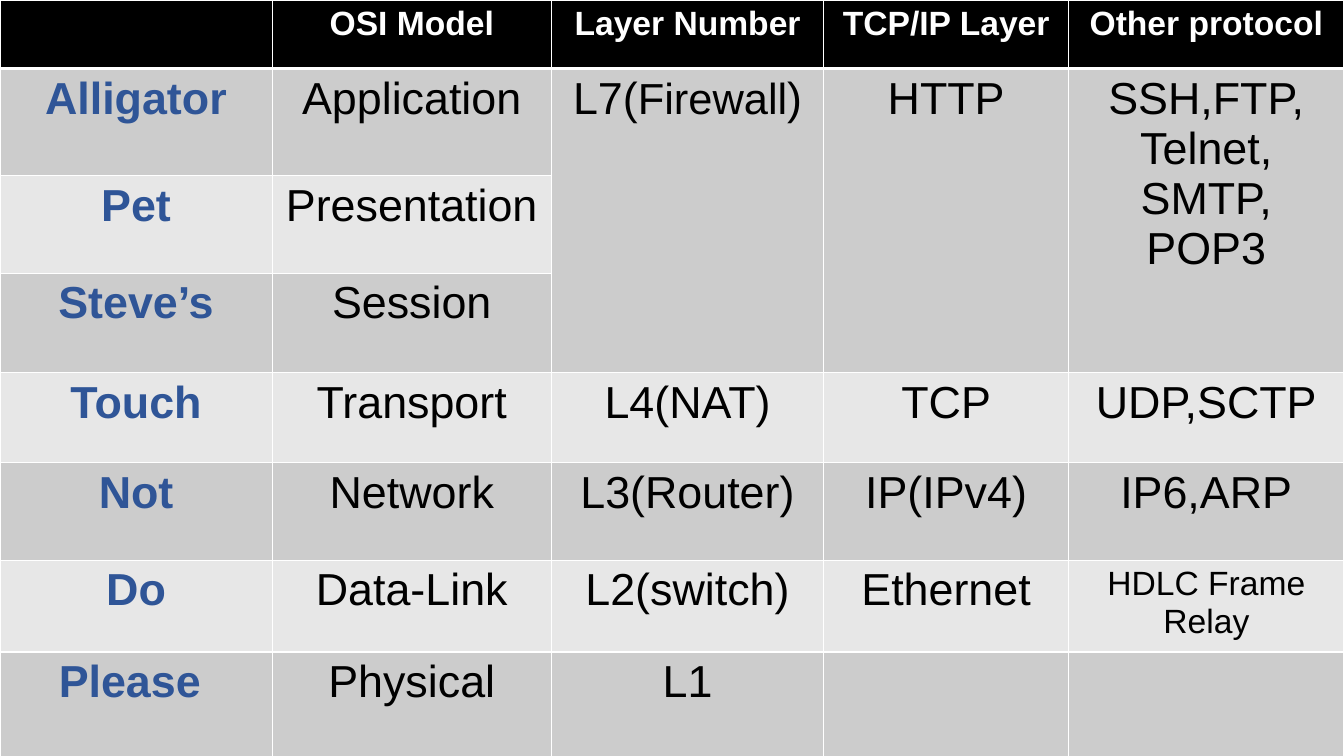
"""Build a slide with a table of the OSI layers, a mnemonic and their protocols."""
from dataclasses import dataclass
from typing import Any

from lxml.etree import SubElement as Sub
from pptx import Presentation
from pptx.dml.color import RGBColor as Rgb
from pptx.enum.text import PP_ALIGN as Align
from pptx.oxml.ns import qn
from pptx.util import Inches, Pt

WHITE, BLACK, BLUE = "FFFFFF", "000000", "2F5597"
BANDS = ("E7E7E7", "CCCCCC")
WIDTHS = (2.7, 2.77, 2.7, 2.43, 2.73)
HEIGHTS = (0.68, 1.06, 0.97, 0.99, 0.89, 0.97, 0.91, 1.12)
HEAD: dict[str, Any] = {"name": "Arial", "size": Pt(24), "bold": True}
WORD: dict[str, Any] = HEAD | {"size": Pt(32)}
BODY: dict[str, Any] = WORD | {"bold": False}


@dataclass(frozen=True)
class Part:
    """A piece of text with its size in points, or the size of its cell."""
    text: str
    size: float | None = None


@dataclass(frozen=True)
class Entry:
    """The lines of one cell and the number of rows it covers."""
    lines: tuple[tuple[Part, ...], ...]
    rows: int = 1


def entry(*lines: str, size: float | None = None, rows: int = 1) -> Entry:
    """Make an entry with one part on each line."""
    return Entry(tuple((Part(line, size),) for line in lines), rows)


FIRE = Entry(((Part("L7("), Part("Firewall", 31), Part(")")),), 3)
GRID: tuple[tuple[Entry, ...], ...] = (
    (entry(), entry("OSI Model"), entry("Layer Number"),
     entry("TCP/IP Layer"), entry("Other protocol")),
    (entry("Alligator"), entry("Application"), FIRE, entry("HTTP", rows=3),
     entry("SSH,FTP,", "Telnet, SMTP,", "POP3", rows=3)),
    (entry("Pet"), entry("Presentation")),
    (entry("Steve’s"), entry("Session")),
    (entry("Touch"), entry("Transport"), entry("L4(NAT)"), entry("TCP"),
     entry("UDP,SCTP")),
    (entry("Not"), entry("Network"), entry("L3(Router)"), entry("IP(IPv4)"),
     entry("IP6,ARP")),
    (entry("Do"), entry("Data-Link"), entry("L2(switch)"), entry("Ethernet"),
     entry("HDLC Frame Relay", size=24)),
    (entry("Please "), entry("Physical"), entry("L1")),
)


def paint(fill: Any, tone: str) -> None:
    """Give a fill one solid colour."""
    fill.solid()
    fill.fore_color.rgb = Rgb.from_string(tone)


def edge(cell: Any, row: int) -> None:
    """Draw white borders, with a thick one under the header."""
    props = cell._tc.get_or_add_tcPr()
    thick = {"B": 0, "T": 1}
    for side in "LRTB":
        width = Pt(3 if thick.get(side) == row else 1)
        line = Sub(props, qn(f"a:ln{side}"), w=str(width))
        Sub(Sub(line, qn("a:solidFill")), qn("a:srgbClr"), val=WHITE)


def write(cell: Any, item: Entry, style: dict[str, Any], tone: str) -> None:
    """Put centred text in a cell."""
    frame = cell.text_frame
    for num, parts in enumerate(item.lines):
        para = frame.add_paragraph() if num else frame.paragraphs[0]
        para.alignment = Align.CENTER
        for part in parts:
            run = para.add_run()
            run.text = part.text
            size = {"size": Pt(part.size)} if part.size else {}
            for key, value in (style | size).items():
                setattr(run.font, key, value)
            paint(run.font.fill, tone)


def look(row: int, col: int) -> tuple[dict[str, Any], str]:
    """Choose the text format and colour for a place in the grid."""
    if row == 0:
        return HEAD, WHITE
    return (WORD, BLUE) if col == 0 else (BODY, BLACK)


def main() -> None:
    """Build and save the slide."""
    deck = Presentation()
    deck.slide_width, deck.slide_height = Inches(13.33), Inches(7.5)
    slide = deck.slides.add_slide(deck.slide_layouts[6])
    table = slide.shapes.add_table(
        len(HEIGHTS), len(WIDTHS), 0, 0,
        Inches(sum(WIDTHS)), Inches(sum(HEIGHTS))).table
    for slot, width in zip(table.columns, WIDTHS):
        slot.width = Inches(width)
    for slot, height in zip(table.rows, HEIGHTS):
        slot.height = Inches(height)

    for row in range(len(HEIGHTS)):
        for col in range(len(WIDTHS)):
            cell = table.cell(row, col)
            edge(cell, row)
            paint(cell.fill, BANDS[row % 2] if row else BLACK)
    for row, items in enumerate(GRID):
        for col, item in enumerate(items):
            cell = table.cell(row, col)
            write(cell, item, *look(row, col))
            if item.rows > 1:
                cell.merge(table.cell(row + item.rows - 1, col))
    deck.save("out.pptx")


if __name__ == "__main__":
    main()
